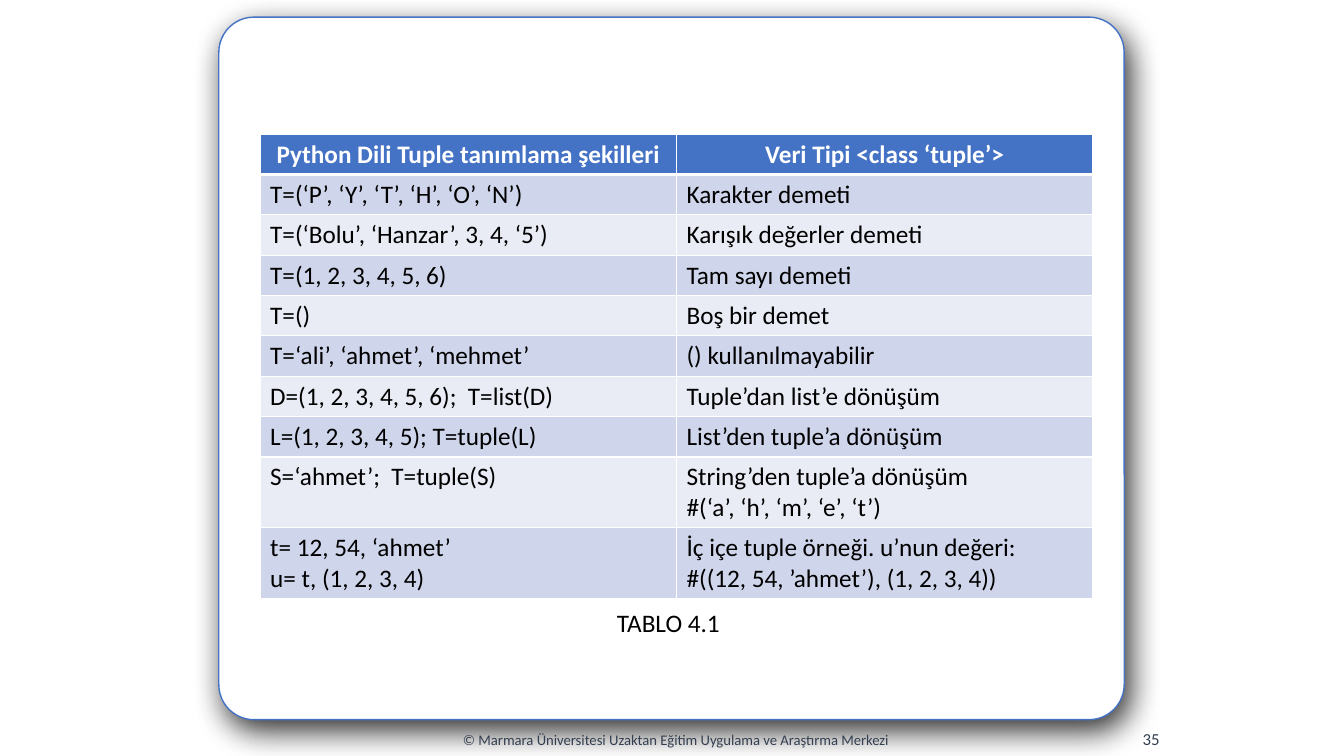
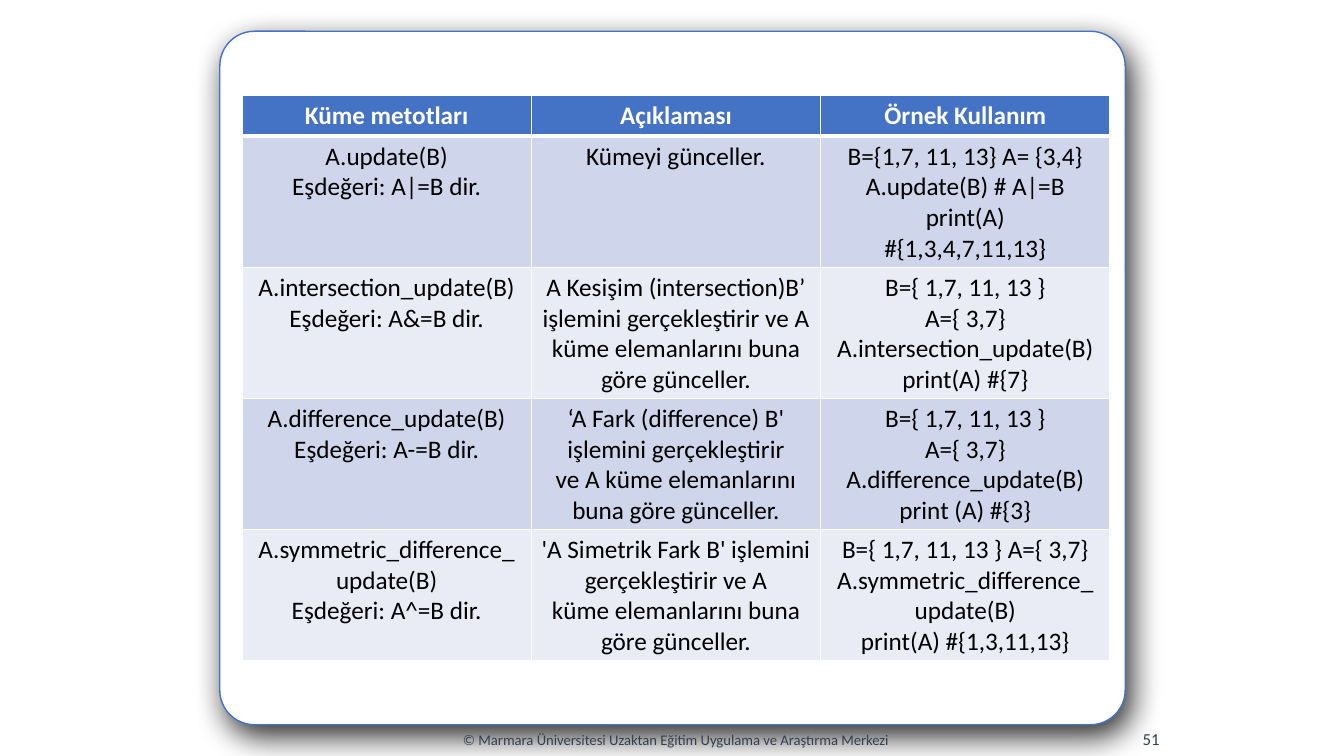
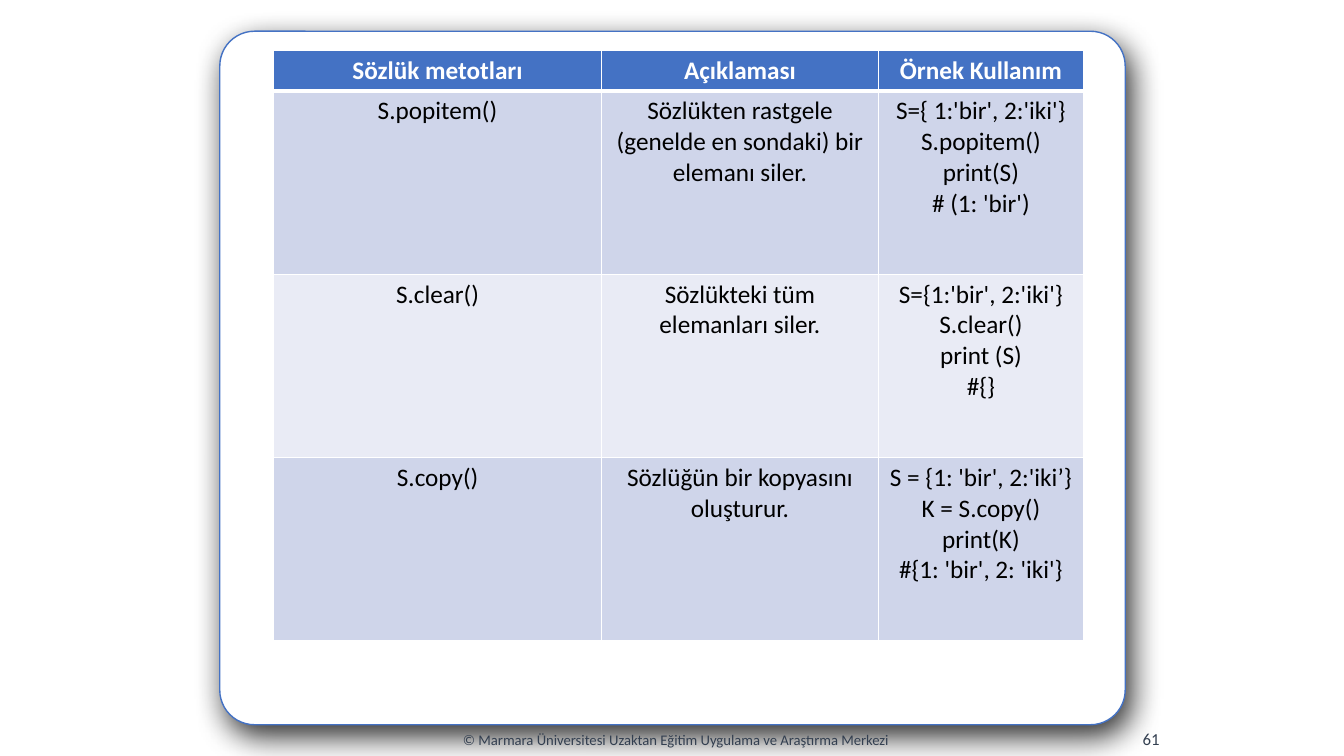
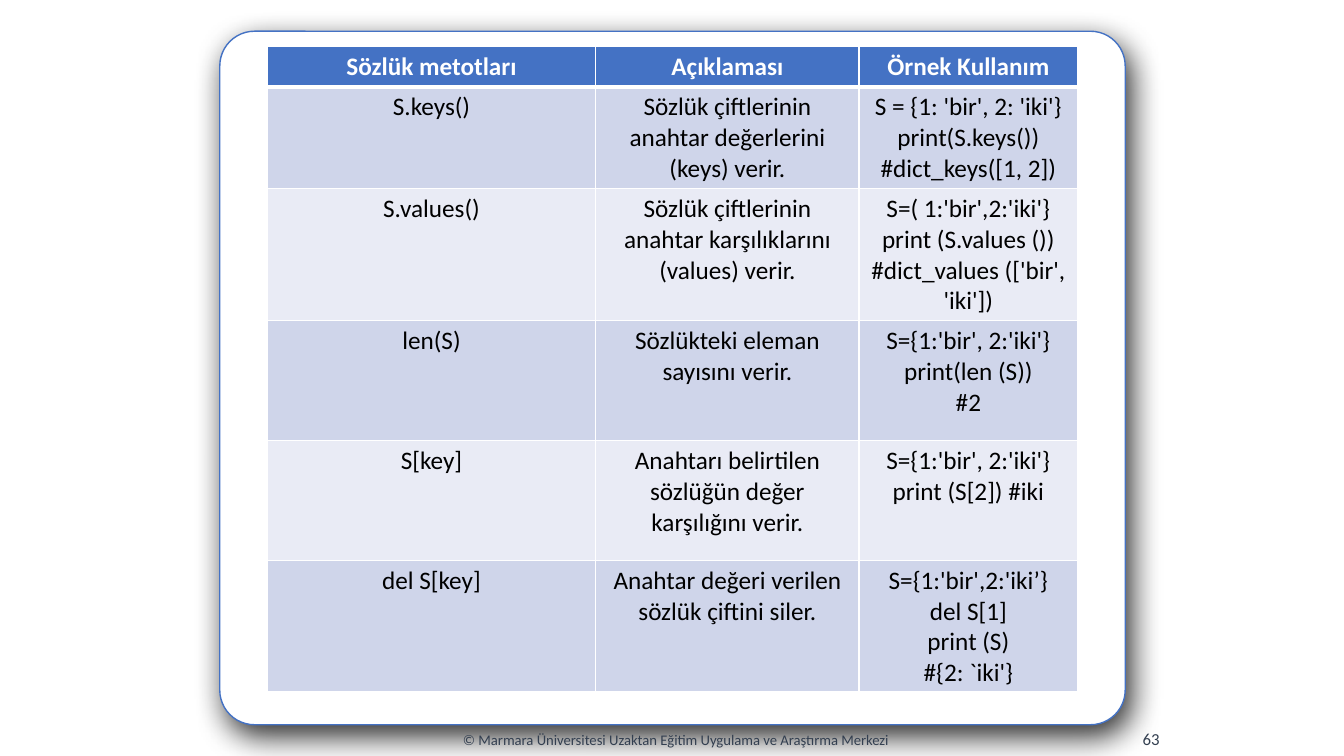
from lxml import etree
from pptx import Presentation
from pptx.dml.color import RGBColor
from pptx.enum.shapes import MSO_SHAPE
from pptx.enum.text import MSO_ANCHOR, PP_ALIGN
from pptx.oxml.ns import qn
from pptx.util import Pt

ROUNDED = MSO_SHAPE.ROUNDED_RECTANGLE
TOP, MIDDLE = MSO_ANCHOR.TOP, MSO_ANCHOR.MIDDLE
LEFT, CENTER, RIGHT = PP_ALIGN.LEFT, PP_ALIGN.CENTER, PP_ALIGN.RIGHT
PX = 9144  # 100 px to the inch
PT = 12700
COLORS = {
    "white": "FFFFFF",
    "black": "000000",
    "accent": "4472C4",
    "band": "CFD5EA",
    "pale": "E9EBF5",
    "footer": "333F50",
}
FONT = "Calibri"
FOOTER = "© Marmara Üniversitesi Uzaktan Eğitim Uygulama ve Araştırma Merkezi"
LOWER_PANEL = (218, 31, 898, 688)


def color(name):
    return RGBColor.from_string(COLORS[name])


def px(*lengths):
    return [length * PX for length in lengths]


def add_color(parent, name, alpha=None):
    """Append an srgbClr element, with an opacity in percent if given."""
    element = etree.SubElement(parent, qn("a:srgbClr"), val=COLORS[name])
    if alpha is not None:
        etree.SubElement(element, qn("a:alpha"), val=str(alpha * 1000))


def write(frame, text, size=18, ink="black", bold=False, align=LEFT):
    """Fill a text frame, one paragraph for each line of text."""
    frame.word_wrap = True
    for index, line in enumerate(text.split("\n")):
        paragraph = frame.add_paragraph() if index else frame.paragraphs[0]
        paragraph.alignment = align
        run = paragraph.add_run()
        run.text = line
        run.font.name = FONT
        run.font.size = Pt(size)
        run.font.bold = bold
        run.font.color.rgb = color(ink)


def set_borders(cell, top=1, bottom=1):
    """Draw white borders on a cell; widths in points."""
    properties = cell._tc.get_or_add_tcPr()
    widths = {"a:lnL": 1, "a:lnR": 1, "a:lnT": top, "a:lnB": bottom}
    for index, (side, width) in enumerate(widths.items()):
        line = etree.Element(qn(side), w=str(width * PT))
        add_color(etree.SubElement(line, qn("a:solidFill")), "white")
        properties.insert(index, line)


class Deck:
    def __init__(self):
        self.presentation = Presentation()
        self.presentation.slide_width, self.presentation.slide_height = px(1333, 750)
        self.slide = None

    def new_slide(self, number, panel=LOWER_PANEL):
        """Start a slide with its panel, footer and page number."""
        self.slide = self.presentation.slides.add_slide(self.presentation.slide_layouts[6])
        self.panel(*panel)
        self.text(375, 714, 591, 40, FOOTER, MIDDLE, size=10.5, ink="footer", align=CENTER)
        self.text(927, 713, 233, 40, str(number), MIDDLE, size=12, ink="footer", align=RIGHT)

    def panel(self, left, top, width, height):
        panel = self.slide.shapes.add_shape(ROUNDED, *px(left, top, width, height))
        panel.adjustments[0] = 0.05
        panel.fill.solid()
        panel.fill.fore_color.rgb = color("white")
        panel.line.color.rgb = color("accent")
        panel.line.width = Pt(1)
        panel.shadow.inherit = False
        effects = panel._element.spPr.find(qn("a:effectLst"))
        shadow = etree.SubElement(
            effects, qn("a:outerShdw"), blurRad=str(23 * PT), dist=str(9 * PT),
            dir=str(64 * 60000), algn="tl", rotWithShape="0")
        add_color(shadow, "black", alpha=81)

    def text(self, left, top, width, height, text, anchor=TOP, **style):
        box = self.slide.shapes.add_textbox(*px(left, top, width, height))
        box.text_frame.vertical_anchor = anchor
        write(box.text_frame, text, **style)

    def table(self, left, top, widths, heights, rows, align=CENTER):
        """Add a banded table whose first row is the header."""
        frame = self.slide.shapes.add_table(
            len(rows), len(widths), *px(left, top, sum(widths), sum(heights)))
        table = frame.table
        table.first_row = table.horz_banding = False
        for column, width in zip(table.columns, px(*widths)):
            column.width = width
        for index, (row, height, texts) in enumerate(zip(table.rows, px(*heights), rows)):
            row.height = height
            header = index == 0
            fill = "accent" if header else "band" if index % 2 else "pale"
            for cell, text in zip(row.cells, texts):
                cell.fill.solid()
                cell.fill.fore_color.rgb = color(fill)
                set_borders(cell, top=3 if index == 1 else 1, bottom=3 if header else 1)
                write(cell.text_frame, text, bold=header,
                      ink="white" if header else "black",
                      align=CENTER if header else align)


TUPLE_FORMS = [
    ("Python Dili Tuple tanımlama şekilleri", "Veri Tipi <class ‘tuple’>"),
    ("T=(‘P’, ‘Y’, ‘T’, ‘H’, ‘O’, ‘N’)", "Karakter demeti"),
    ("T=(‘Bolu’, ‘Hanzar’, 3, 4, ‘5’)", "Karışık değerler demeti"),
    ("T=(1, 2, 3, 4, 5, 6)", "Tam sayı demeti"),
    ("T=()", "Boş bir demet"),
    ("T=‘ali’, ‘ahmet’, ‘mehmet’", "() kullanılmayabilir"),
    ("D=(1, 2, 3, 4, 5, 6);  T=list(D)", "Tuple’dan list’e dönüşüm"),
    ("L=(1, 2, 3, 4, 5); T=tuple(L)", "List’den tuple’a dönüşüm"),
    ("S=‘ahmet’;  T=tuple(S)", "String’den tuple’a dönüşüm\n#(‘a’, ‘h’, ‘m’, ‘e’, ‘t’)"),
    ("t= 12, 54, ‘ahmet’\nu= t, (1, 2, 3, 4)",
     "İç içe tuple örneği. u’nun değeri:\n#((12, 54, ’ahmet’), (1, 2, 3, 4))"),
]
SET_METHODS = [
    ("Küme metotları", "Açıklaması", "Örnek Kullanım"),
    ("A.update(B)\nEşdeğeri: A|=B dir.",
     "Kümeyi günceller.",
     "B={1,7, 11, 13} A= {3,4}\nA.update(B) # A|=B\nprint(A)\n#{1,3,4,7,11,13}"),
    ("A.intersection_update(B) Eşdeğeri: A&=B dir.",
     "A Kesişim (intersection)B’ işlemini gerçekleştirir ve A küme elemanlarını "
     "buna göre günceller.",
     "B={ 1,7, 11, 13 }\nA={ 3,7}\nA.intersection_update(B) print(A) #{7}"),
    ("A.difference_update(B) Eşdeğeri: A-=B dir.",
     "‘A Fark (difference) B' işlemini gerçekleştirir\n"
     "ve A küme elemanlarını buna göre günceller.",
     "B={ 1,7, 11, 13 }\nA={ 3,7}\nA.difference_update(B) print (A) #{3}"),
    ("A.symmetric_difference_update(B)\nEşdeğeri: A^=B dir.",
     "'A Simetrik Fark B' işlemini gerçekleştirir ve A\n"
     "küme elemanlarını buna göre günceller.",
     "B={ 1,7, 11, 13 } A={ 3,7}\nA.symmetric_difference_ update(B)\n"
     "print(A) #{1,3,11,13}"),
]
DICT_HEADER = ("Sözlük metotları", "Açıklaması", "Örnek Kullanım")
DICT_CHANGES = [
    DICT_HEADER,
    ("S.popitem()",
     "Sözlükten rastgele (genelde en sondaki) bir elemanı siler.",
     "S={ 1:'bir', 2:'iki'} S.popitem()\nprint(S)\n# (1: 'bir')"),
    ("S.clear()",
     "Sözlükteki tüm elemanları siler.",
     "S={1:'bir', 2:'iki'} S.clear()\nprint (S)\n#{}"),
    ("S.copy()",
     "Sözlüğün bir kopyasını oluşturur.",
     "S = {1: 'bir', 2:'iki’} K = S.copy() print(K)\n#{1: 'bir', 2: 'iki'}"),
]
DICT_ACCESS = [
    DICT_HEADER,
    ("S.keys()",
     "Sözlük çiftlerinin anahtar değerlerini (keys) verir.",
     "S = {1: 'bir', 2: 'iki'} print(S.keys())\n#dict_keys([1, 2])"),
    ("S.values()",
     "Sözlük çiftlerinin anahtar karşılıklarını (values) verir.",
     "S=( 1:'bir',2:'iki'} print (S.values ()) #dict_values (['bir', 'iki'])"),
    ("len(S)",
     "Sözlükteki eleman sayısını verir.",
     "S={1:'bir', 2:'iki'} print(len (S))\n#2"),
    ("S[key]",
     "Anahtarı belirtilen sözlüğün değer karşılığını verir.",
     "S={1:'bir', 2:'iki'} print (S[2]) #iki"),
    ("del S[key]",
     "Anahtar değeri verilen sözlük çiftini siler.",
     "S={1:'bir',2:'iki’}\ndel S[1]\nprint (S)\n#{2: `iki'}"),
]


def main():
    deck = Deck()

    deck.new_slide(35, panel=(217, 17, 898, 697))
    deck.table(258, 133, [413] * 2, [40] * 8 + [70] * 2, TUPLE_FORMS, align=LEFT)
    deck.text(602, 598, 138, 40, "TABLO 4.1")

    deck.new_slide(51)
    deck.table(240, 95, [287] * 3, [40] + [130] * 4, SET_METHODS)

    deck.new_slide(61)
    deck.table(271, 50, [326, 274, 204], [40] + [182] * 3, DICT_CHANGES)

    deck.new_slide(63)
    deck.table(265, 46, [326, 261, 217], [40, 101, 131] + [119] * 3, DICT_ACCESS)

    deck.presentation.save("out.pptx")


if __name__ == "__main__":
    main()
